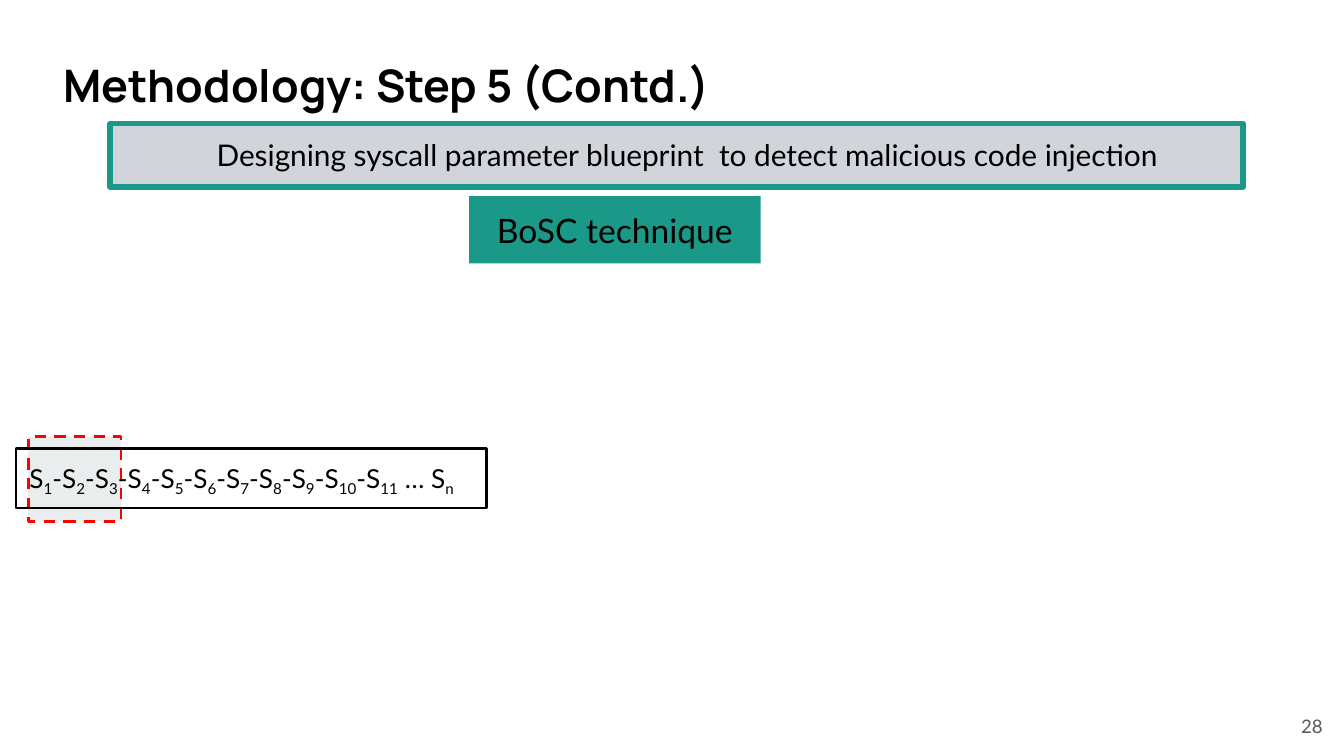
from typing import NamedTuple, Optional

from pptx import Presentation
from pptx.dml.color import RGBColor as RGB
from pptx.enum.dml import MSO_LINE_DASH_STYLE as Dash
from pptx.enum.shapes import MSO_SHAPE as Shape
from pptx.enum.text import MSO_ANCHOR as Anchor, PP_ALIGN as Align
from pptx.util import Inches, Pt

BLACK = RGB(0x00, 0x00, 0x00)
TEAL = RGB(0x1A, 0x99, 0x88)
RED = RGB(0xFF, 0x00, 0x00)
MIST = RGB(0xE9, 0xED, 0xEE)
SILVER = RGB(0xD1, 0xD5, 0xDB)
GRAY = RGB(0x59, 0x59, 0x59)


class Box(NamedTuple):
    left: float
    top: float
    width: float
    height: float
    fill: Optional[RGB] = None
    line: Optional[RGB] = None
    weight: float = 1.5
    dash: Optional[Dash] = None


class Part(NamedTuple):
    text: str
    low: bool = False


def place(shape, box: Box) -> None:
    shape.left, shape.top = Inches(box.left), Inches(box.top)
    shape.width, shape.height = Inches(box.width), Inches(box.height)


def draw(slide, box: Box):
    shape = slide.shapes.add_shape(
        Shape.RECTANGLE, *(Inches(n) for n in box[:4]))
    shape.shadow.inherit = False
    if box.fill is None:
        shape.fill.background()
    else:
        shape.fill.solid()
        shape.fill.fore_color.rgb = box.fill
    if box.line is None:
        shape.line.fill.background()
    else:
        shape.line.color.rgb = box.line
        shape.line.width = Pt(box.weight)
        if box.dash is not None:
            shape.line.dash_style = box.dash
    return shape


def write(shape, *parts: Part, size: float, font: str = "Lato",
          color: RGB = BLACK, bold: bool = False, align: Align = Align.LEFT,
          anchor: Anchor = Anchor.TOP, inset: float = 0.1,
          indent: float = 0.1) -> None:
    """Fill a shape with one paragraph; low parts become subscripts."""
    frame = shape.text_frame
    frame.word_wrap = True
    frame.vertical_anchor = anchor
    frame.margin_left, frame.margin_right = Inches(indent), Inches(0.1)
    frame.margin_top = frame.margin_bottom = Inches(inset)
    para = frame.paragraphs[0]
    para.alignment = align
    for part in parts:
        run = para.add_run()
        run.text = part.text
        run.font.name, run.font.size = font, Pt(size)
        run.font.bold = bold
        run.font.color.rgb = color
        if part.low:
            run._r.get_or_add_rPr().set("baseline", "-25000")


def calls(count: int) -> list[Part]:
    """Build the sequence S1-S2-...-Scount … Sn."""
    parts = []
    for num in range(1, count + 1):
        parts += [Part("S" if num == 1 else "-S"), Part(str(num), low=True)]
    return parts + [Part(" … S"), Part("n", low=True)]


def main() -> None:
    deck = Presentation()
    deck.slide_width = Inches(10)
    deck.slide_height = deck.slide_width * 9 // 16
    slide = deck.slides.add_slide(deck.slide_layouts[5])

    title = slide.shapes.title
    place(title, Box(0.37, 0.38, 5.16, 0.5))
    write(title, Part("Methodology: Step 5 (Contd.)"), size=24,
          font="Manrope", bold=True, inset=0.05)

    method = draw(slide, Box(3.49, 1.46, 2.17, 0.5, fill=TEAL))
    write(method, Part("BoSC technique"), size=18, align=Align.CENTER)

    draw(slide, Box(0.21, 3.25, 0.69, 0.63, fill=MIST, line=RED,
                    dash=Dash.DASH))
    trace = draw(slide, Box(0.12, 3.34, 3.5, 0.44, line=BLACK))
    write(trace, *calls(11), size=14)

    goal = draw(slide, Box(0.82, 0.92, 8.43, 0.47, fill=SILVER, line=TEAL,
                           weight=3))
    write(goal, Part("Designing syscall parameter blueprint  to detect "
                     "malicious code injection"),
          size=16, align=Align.CENTER, indent=0.26)

    page = slide.shapes.add_textbox(
        Inches(9.34), Inches(5.19), Inches(0.6), Inches(0.43))
    write(page, Part("28"), size=10, color=GRAY, align=Align.RIGHT,
          anchor=Anchor.MIDDLE)

    deck.save("out.pptx")


if __name__ == "__main__":
    main()
